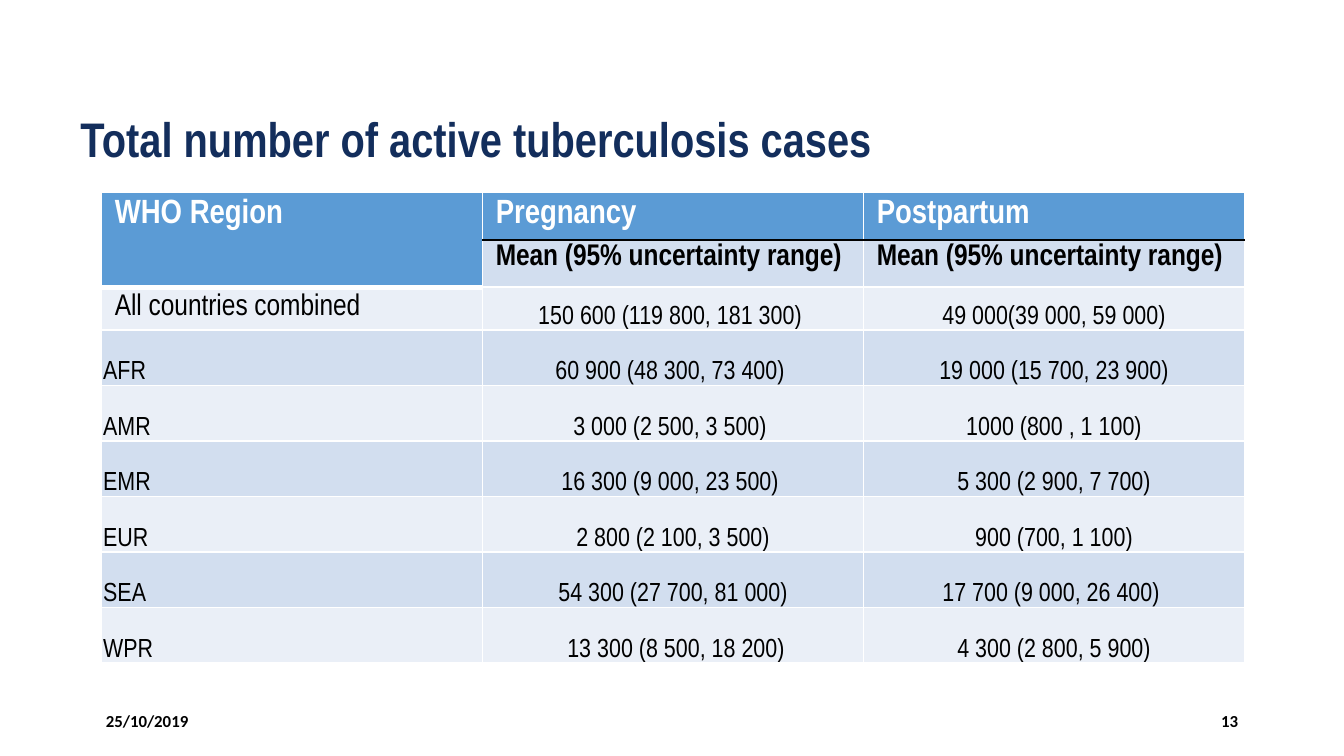
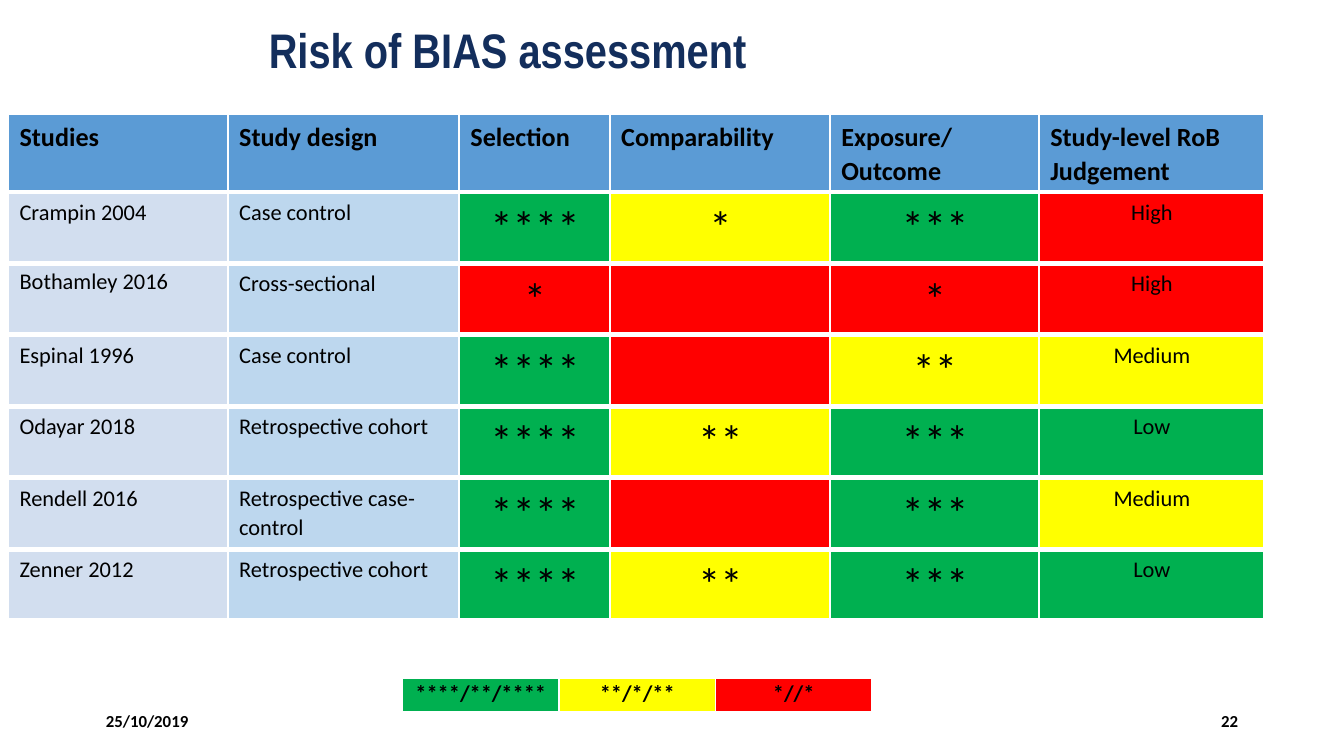
from dataclasses import dataclass
from functools import partial

from lxml.etree import SubElement
from pptx import Presentation
from pptx.dml.color import RGBColor as Rgb
from pptx.enum.text import MSO_ANCHOR as Anchor, PP_ALIGN as Align
from pptx.oxml.ns import qn
from pptx.util import Cm, Pt


@dataclass(frozen=True)
class Theme:
    narrow: str = "Arial Narrow"
    plain: str = "Calibri"
    navy: str = "132E5C"
    black: str = "000000"
    white: str = "FFFFFF"
    header: str = "5B9BD5"
    band_dark: str = "D2DEEF"
    band_light: str = "EAEFF7"
    design: str = "BDD7EE"
    green: str = "00B050"
    yellow: str = "FFFF00"
    red: str = "FF0000"
    title_size: int = 26
    head_size: int = 18
    subhead_size: int = 16
    figure_size: int = 14
    study_size: int = 12
    star_size: int = 24
    footer_size: int = 9


THEME = Theme()
DATE = "25/10/2019"
HEAD_INSETS = (0.25, 0.13, 0.25, 0)
SUBHEAD_INSETS = (0.25, 0.07, 0.25, 0)
NO_INSETS = (0, 0, 0, 0)
TIGHT_INSETS = (0.03, 0.03, 0.03, 0)
STUDY_INSETS = (0.21, 0.1, 0.2, 0.1)
LEGEND_INSETS = (0.18, 0, 0.18, 0)
THIN = (THEME.white, 1)
THICK = (THEME.white, 3)
DARK = (THEME.black, 1)

CASES = [
    ("AFR", "60 900 (48 300, 73 400) ", "19 000 (15 700, 23 900)"),
    ("AMR", "3 000 (2 500, 3 500) ", "1000 (800 , 1 100)"),
    ("EMR", "16 300 (9 000, 23 500) ", "5 300 (2 900, 7 700)"),
    ("EUR", "2 800 (2 100, 3 500)", "900 (700, 1 100)"),
    ("SEA", "54 300 (27 700, 81 000)", "17 700 (9 000, 26 400) "),
    ("WPR", " 13 300 (8 500, 18 200)", "4 300 (2 800, 5 900)"),
]

STUDY_HEADERS = ["Studies", "Study design", "Selection", "Comparability",
                 "Exposure/ Outcome", "Study-level RoB Judgement"]
STUDIES = [
    ("Crampin 2004", "Case control", (4, 1, 3), "High"),
    ("Bothamley 2016", "Cross-sectional", (1, 0, 1), "High"),
    ("Espinal 1996", "Case control", (4, 0, 2), "Medium"),
    ("Odayar 2018", "Retrospective cohort", (4, 2, 3), "Low"),
    ("Rendell 2016", "Retrospective case-control", (4, 0, 3), "Medium"),
    ("Zenner 2012", "Retrospective cohort", (4, 2, 3), "Low"),
]
GREEN_AND_YELLOW_FROM = [(4, 2), (3, 1), (3, 2)]
JUDGEMENT_FILLS = {"High": THEME.red, "Medium": THEME.yellow, "Low": THEME.green}
LEGEND = [("****/**/****", THEME.green), ("**/*/**", THEME.yellow), ("*//*", THEME.red)]


def set_all(target, values):
    for name, value in values.items():
        setattr(target, name, value)


def write(para, text, font, size, colour=THEME.black, bold=False, **layout):
    set_all(para, {"alignment": Align.LEFT, **layout})
    if text:
        span = para.add_run()
        span.text = text
        set_all(span.font, {"name": font, "size": Pt(size), "bold": bold})
        span.font.color.rgb = Rgb.from_string(colour)


def place(shape, box):
    set_all(shape, dict(zip(("left", "top", "width", "height"), map(Cm, box))))


def set_insets(target, insets):
    sides = ("margin_left", "margin_top", "margin_right", "margin_bottom")
    set_all(target, dict(zip(sides, map(Cm, insets))))


def draw_borders(cell, left=THIN, right=THIN, top=THIN, bottom=THIN):
    properties = cell._tc.get_or_add_tcPr()
    for side, (colour, width) in zip("LRTB", (left, right, top, bottom)):
        line = SubElement(properties, qn(f"a:ln{side}"), w=str(Pt(width)))
        SubElement(SubElement(line, qn("a:solidFill")), qn("a:srgbClr"), val=colour)


def fill_cell(cell, text, fill, insets=HEAD_INSETS, anchor=Anchor.TOP, borders=None, **style):
    draw_borders(cell, **(borders or {}))
    cell.fill.solid()
    cell.fill.fore_color.rgb = Rgb.from_string(fill)
    cell.vertical_anchor = anchor
    set_insets(cell, insets)
    write(cell.text_frame.paragraphs[0], text, **style)


def add_grid(page, box, widths, heights):
    table = page.shapes.add_table(len(heights), len(widths), *map(Cm, box)).table
    set_all(table, {"first_row": False, "horz_banding": False})
    for column, width in zip(table.columns, widths):
        column.width = Cm(width)
    for row, height in zip(table.rows, heights):
        row.height = Cm(height)
    return table


def add_title(page, text, left, top):
    title = page.shapes.title
    place(title, (left, top, 19.25, 1.35))
    set_insets(title.text_frame, NO_INSETS)
    set_all(title.text_frame, {"word_wrap": True, "vertical_anchor": Anchor.TOP})
    write(title.text_frame.paragraphs[0], text, THEME.narrow, THEME.title_size,
          THEME.navy, True, line_spacing=1.0)


def add_footer(page, number):
    for left, text, align in ((1.75, DATE, Align.LEFT), (17.93, str(number), Align.RIGHT)):
        box = page.shapes.add_textbox(*map(Cm, (left, 13.25, 5.72, 0.76)))
        set_all(box.text_frame, {"word_wrap": True, "vertical_anchor": Anchor.MIDDLE})
        write(box.text_frame.paragraphs[0], text, THEME.plain, THEME.footer_size,
              bold=True, alignment=align)


def add_page(deck, title, left, top, number):
    page = deck.slides.add_slide(deck.slide_layouts[5])
    add_title(page, title, left, top)
    add_footer(page, number)
    return page


def add_cases_table(page, box):
    width = box[2] / 3
    table = add_grid(page, box, [width] * 3, [0.48, 0.85, 0.79] + [1.05] * len(CASES))
    heading = partial(fill_cell, fill=THEME.header, font=THEME.narrow,
                      size=THEME.head_size, colour=THEME.white, bold=True)
    table.cell(0, 0).merge(table.cell(1, 0))
    for row, (text, insets) in enumerate((("WHO Region", HEAD_INSETS), ("", NO_INSETS))):
        heading(table.cell(row, 0), text, insets=insets, borders={"bottom": THICK})
    for column, text in enumerate(("Pregnancy", "Postpartum"), 1):
        heading(table.cell(0, column), text, borders={"bottom": DARK})
        fill_cell(table.cell(1, column), "Mean (95% uncertainty range)", THEME.band_dark,
                  SUBHEAD_INSETS, borders={"top": DARK}, font=THEME.narrow,
                  size=THEME.subhead_size, bold=True)

    fill_cell(table.cell(2, 0), "All countries combined", THEME.band_light,
              borders={"top": THICK}, font=THEME.narrow, size=THEME.subhead_size)
    figure = partial(fill_cell, insets=TIGHT_INSETS, anchor=Anchor.BOTTOM,
                     font=THEME.narrow, size=THEME.figure_size)
    totals = ("150 600 (119 800, 181 300) ", "49 000(39 000, 59 000)")
    for column, text in enumerate(totals, 1):
        figure(table.cell(2, column), text, THEME.band_light, alignment=Align.CENTER)
    for row, values in enumerate(CASES, 3):
        fill = THEME.band_dark if row % 2 else THEME.band_light
        for column, text in enumerate(values):
            figure(table.cell(row, column), text, fill,
                   alignment=Align.CENTER if column else Align.LEFT)


def star_fill(stars, limits):
    green_from, yellow_from = limits
    if stars >= green_from:
        return THEME.green
    return THEME.yellow if stars >= yellow_from else THEME.red


def add_bias_table(page, box):
    widths = [4.15, 4.37, 2.85, 4.16, 3.95, 4.25]
    table = add_grid(page, box, widths, [1.43] + [1.35] * len(STUDIES))
    study = partial(fill_cell, insets=STUDY_INSETS, font=THEME.plain, line_spacing=1.07)
    for column, text in enumerate(STUDY_HEADERS):
        study(table.cell(0, column), text, THEME.header, borders={"bottom": THICK},
              size=THEME.figure_size, bold=True, space_after=Pt(8))

    entry = partial(study, borders={"top": THICK, "bottom": THICK}, size=THEME.study_size)
    for row, (name, design, scores, judgement) in enumerate(STUDIES, 1):
        spacing = {"line_spacing": 1.0} if name == "Bothamley 2016" else {"space_after": Pt(8)}
        entry(table.cell(row, 0), name, THEME.band_dark, **spacing)
        entry(table.cell(row, 1), design, THEME.design)
        for column, (stars, limits) in enumerate(zip(scores, GREEN_AND_YELLOW_FROM), 2):
            entry(table.cell(row, column), "*" * stars, star_fill(stars, limits),
                  size=THEME.star_size, alignment=Align.CENTER)
        entry(table.cell(row, 5), judgement, JUDGEMENT_FILLS[judgement], alignment=Align.CENTER)


def add_legend(page, box):
    table = add_grid(page, box, [box[2] / len(LEGEND)] * len(LEGEND), [box[3]])
    for column, (text, fill) in enumerate(LEGEND):
        fill_cell(table.cell(0, column), text, fill, LEGEND_INSETS, borders={"bottom": THICK},
                  font=THEME.plain, size=THEME.study_size, bold=True,
                  alignment=Align.CENTER, line_spacing=1.07)


def build_cases_page(deck):
    page = add_page(deck, "Total number of active tuberculosis cases", 1.52, 2.06, 13)
    add_cases_table(page, (1.92, 3.64, 21.6, 8.42))


def build_bias_page(deck):
    page = add_page(deck, "Risk of BIAS assessment", 5.08, 0.38, 22)
    add_bias_table(page, (0.16, 2.16, 23.73, 9.53))
    add_legend(page, (7.61, 12.82, 8.87, 0.66))


def main():
    deck = Presentation()
    set_all(deck, {"slide_width": Cm(25.4), "slide_height": Cm(14.29)})
    build_cases_page(deck)
    build_bias_page(deck)
    deck.save("out.pptx")


if __name__ == "__main__":
    main()
